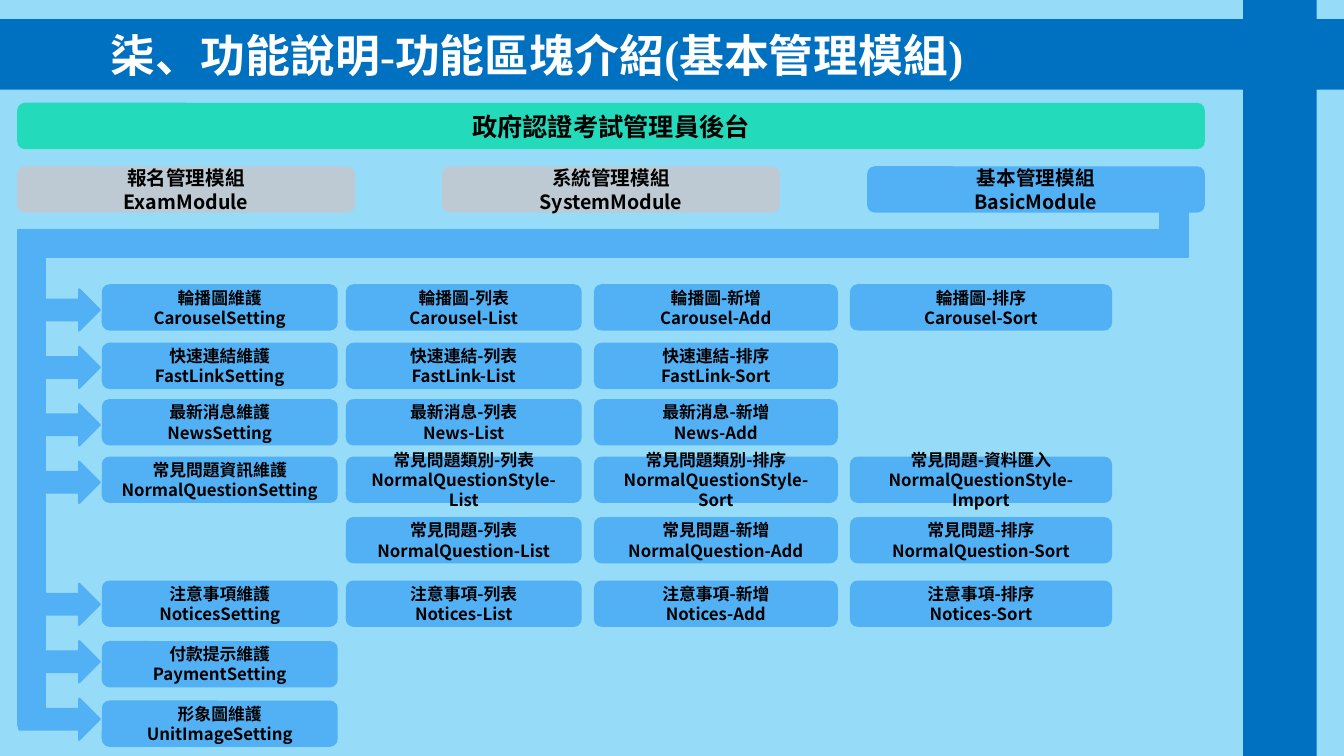
from lxml import etree
from pptx import Presentation
from pptx.dml.color import RGBColor
from pptx.enum import shapes, text
from pptx.oxml import ns
from pptx.util import Inches, Pt

SKY = RGBColor(0x96, 0xDC, 0xF8)
NAVY = RGBColor(0x00, 0x70, 0xC0)
GREEN = RGBColor(0x23, 0xDB, 0xBA)
GREY = RGBColor(0xBD, 0xCA, 0xD3)
BLUE = RGBColor(0x52, 0xB1, 0xF5)
BLACK = RGBColor(0, 0, 0)
WHITE = RGBColor(255, 255, 255)
SANS, SERIF = "Noto Sans CJK SC", "Times New Roman"
RECT = shapes.MSO_SHAPE.RECTANGLE
ROUND = shapes.MSO_SHAPE.ROUNDED_RECTANGLE
ARROW = shapes.MSO_SHAPE.RIGHT_ARROW

MODULES = [
    ("報名管理模組", "ExamModule", GREY),
    ("系統管理模組", "SystemModule", GREY),
    ("基本管理模組", "BasicModule", BLUE),
]
COLUMNS = [(1.01, 2.34), (3.43, 2.34), (5.89, 2.42), (8.43, 2.6)]
ROW_TOPS = [2.82, 3.4, 3.96, 4.53, 5.13, 5.76, 6.36, 6.95]
ARROW_TOPS = [2.87, 3.44, 4.01, 4.58, None, 5.79, 6.36, 6.93]
FEATURES = [
    [("輪播圖維護", "CarouselSetting"), ("輪播圖-列表", "Carousel-List"),
     ("輪播圖-新增", "Carousel-Add"), ("輪播圖-排序", "Carousel-Sort")],
    [("快速連結維護", "FastLinkSetting"), ("快速連結-列表", "FastLink-List"),
     ("快速連結-排序", "FastLink-Sort")],
    [("最新消息維護", "NewsSetting"), ("最新消息-列表", "News-List"),
     ("最新消息-新增", "News-Add")],
    [("常見問題資訊維護", "NormalQuestionSetting"),
     ("常見問題類別-列表", "NormalQuestionStyle-List"),
     ("常見問題類別-排序", "NormalQuestionStyle-Sort"),
     ("常見問題-資料匯入", "NormalQuestionStyle-Import")],
    [None, ("常見問題-列表", "NormalQuestion-List"),
     ("常見問題-新增", "NormalQuestion-Add"), ("常見問題-排序", "NormalQuestion-Sort")],
    [("注意事項維護", "NoticesSetting"), ("注意事項-列表", "Notices-List"),
     ("注意事項-新增", "Notices-Add"), ("注意事項-排序", "Notices-Sort")],
    [("付款提示維護", "PaymentSetting")],
    [("形象圖維護", "UnitImageSetting")],
]


def write(shape, lines, size, font=SANS, color=BLACK, align=text.PP_ALIGN.CENTER):
    """Fill a shape with bold lines, one paragraph each."""
    frame = shape.text_frame
    frame.text = "\n".join(lines)
    layout = {"word_wrap": True, "auto_size": text.MSO_AUTO_SIZE.NONE,
              "vertical_anchor": text.MSO_ANCHOR.MIDDLE}
    for name, value in layout.items():
        setattr(frame, name, value)
    for para in frame.paragraphs:
        para.alignment = align
        for span in para.runs:
            for name, value in {"name": font, "size": Pt(size), "bold": True}.items():
                setattr(span.font, name, value)
            span.font.color.rgb = color
            properties = span.font._element
            etree.SubElement(properties, ns.qn("a:ea")).set("typeface", SANS)


def add_block(page, kind, box, color, outlined=False):
    """Add a flat filled shape in a box of inches."""
    shape = page.shapes.add_shape(kind, *map(Inches, box))
    shape.shadow.inherit = False
    shape.fill.solid()
    shape.fill.fore_color.rgb = color
    if outlined:
        shape.line.color.rgb = color
        shape.line.width = Pt(1.5)
    else:
        shape.line.fill.background()
    return shape


def add_title(page, box):
    """Turn the title placeholder into the header band."""
    title = page.shapes.title
    for name, value in zip(("left", "top", "width", "height"), box):
        setattr(title, name, Inches(value))
    title.fill.solid()
    title.fill.fore_color.rgb = NAVY
    write(title, ["柒、功能說明-功能區塊介紹(基本管理模組)"], 32, SERIF, WHITE,
          text.PP_ALIGN.LEFT)
    title.text_frame.margin_left = Inches(1.1)


def add_modules(page, box):
    """Spread the module boxes evenly across a box."""
    left, top, width, height = box
    module_width = 3.35
    step = (width - module_width) / (len(MODULES) - 1)
    for index, (label, code, color) in enumerate(MODULES):
        place = (left + index * step, top, module_width, height)
        write(add_block(page, ROUND, place, color), [label, code], 14)


def add_trunk(page, box):
    """Draw the thick path from the active module down to the feature rows."""
    left, top, width, height = box
    thick, drop = 0.27, 0.2
    add_block(page, RECT, (left + width - thick, top, thick, 0.46), BLUE, True)
    add_block(page, RECT, (left, top + drop, width, thick), BLUE, True)
    add_block(page, RECT, (left, top + drop, thick, height - drop), BLUE, True)
    for arrow_top in filter(None, ARROW_TOPS):
        add_block(page, ARROW, (left + 0.01, arrow_top, 0.8, 0.41), BLUE, True)


def add_features(page, height):
    """Lay out the feature boxes on the row and column grid."""
    for top, row in zip(ROW_TOPS, FEATURES):
        for (left, width), lines in zip(COLUMNS, row):
            if lines:
                place = (left, top, width, height)
                write(add_block(page, ROUND, place, BLUE), lines, 12)


def main():
    """Build the module overview slide."""
    deck = Presentation()
    deck.slide_width, deck.slide_height = Inches(13.33), Inches(7.5)
    page = deck.slides.add_slide(deck.slide_layouts[5])
    page.background.fill.solid()
    page.background.fill.fore_color.rgb = SKY
    add_title(page, (0, 0.19, 13.33, 0.7))
    add_block(page, RECT, (12.33, 0, 0.73, 7.5), NAVY)
    banner = add_block(page, ROUND, (0.17, 1.02, 11.78, 0.46), GREEN)
    write(banner, ["政府認證考試管理員後台"], 18, SERIF)
    add_trunk(page, (0.18, 2.08, 11.6, 5.12))
    add_features(page, 0.46)
    add_modules(page, (0.17, 1.65, 11.78, 0.46))
    deck.save("out.pptx")


if __name__ == "__main__":
    main()
